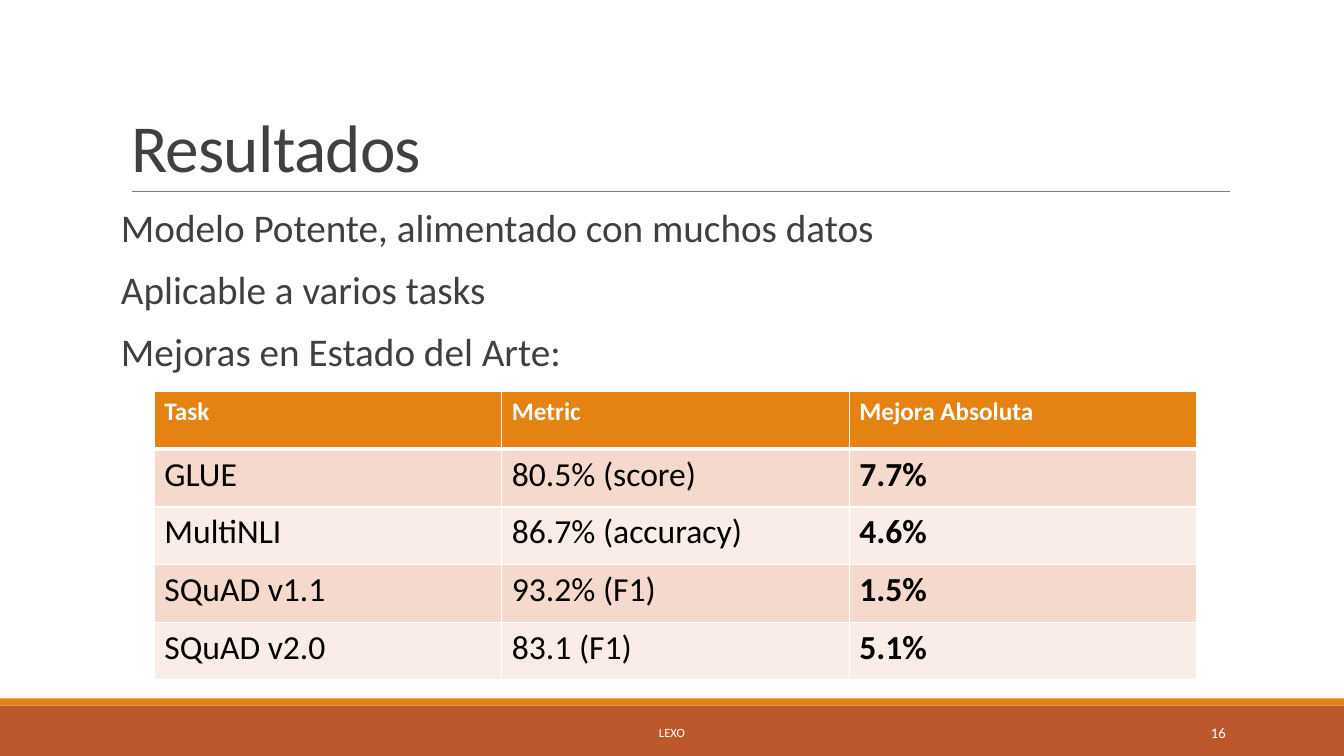
from lxml import etree
from pptx import Presentation
from pptx.dml.color import RGBColor
from pptx.enum.shapes import MSO_CONNECTOR, MSO_SHAPE
from pptx.enum.text import MSO_ANCHOR, MSO_AUTO_SIZE, PP_ALIGN
from pptx.oxml.ns import qn
from pptx.util import Cm, Pt

LEFT, CENTER, RIGHT = PP_ALIGN.LEFT, PP_ALIGN.CENTER, PP_ALIGN.RIGHT
TOP, MIDDLE, BOTTOM = MSO_ANCHOR.TOP, MSO_ANCHOR.MIDDLE, MSO_ANCHOR.BOTTOM
NO_AUTOFIT = MSO_AUTO_SIZE.NONE
RECT, STRAIGHT = MSO_SHAPE.RECTANGLE, MSO_CONNECTOR.STRAIGHT
TITLE_ONLY = 5

COLORS = {
    "text": "404040", "black": "000000", "white": "FFFFFF", "rule": "808080",
    "orange": "E48312", "rust": "BD582C", "band": "F5D9CC", "light": "FAEDE7",
}
POINTS = [
    "Modelo Potente, alimentado con muchos datos",
    "Aplicable a varios tasks",
    "Mejoras en Estado del Arte:",
]
RESULTS = [
    ["Task", "Metric", "Mejora Absoluta"],
    ["GLUE", "80.5% (score)", "7.7%"],
    ["MultiNLI", "86.7% (accuracy)", "4.6%"],
    ["SQuAD v1.1", "93.2% (F1)", "1.5%"],
    ["SQuAD v2.0", "83.1 (F1)", "5.1%"],
]


def rgb(name):
    return RGBColor.from_string(COLORS[name])


def write(tf, lines, size, color="text", bold=False, align=LEFT, anchor=TOP,
          line=1.0, before=0, after=0, spacing=0):
    """Fill a text frame, one paragraph per line; spacing is in 1/100 pt."""
    tf.word_wrap = True
    tf.vertical_anchor = anchor
    for i, text in enumerate(lines):
        p = tf.add_paragraph() if i else tf.paragraphs[0]
        p.alignment, p.line_spacing = align, line
        p.space_before, p.space_after = Pt(before), Pt(after)
        r = p.add_run()
        r.text = text
        r.font.name, r.font.size, r.font.bold = "Calibri", Pt(size), bold
        r.font.color.rgb = rgb(color)
        if spacing:
            r.font._element.set("spc", str(spacing))


class Deck:
    """Holds the presentation, its current slide and the house style."""

    def __init__(self):
        self.prs = Presentation()
        self.prs.slide_width, self.prs.slide_height = Cm(33.87), Cm(19.05)
        self.s = self.prs.slides.add_slide(self.prs.slide_layouts[TITLE_ONLY])

    def bar(self, y, h, color):
        sp = self.s.shapes.add_shape(RECT, 0, Cm(y), self.prs.slide_width, Cm(h))
        sp.shadow.inherit = False
        sp.fill.solid()
        sp.fill.fore_color.rgb = rgb(color)
        sp.line.fill.background()

    def rule(self, x1, x2, y):
        sp = self.s.shapes.add_connector(STRAIGHT, Cm(x1), Cm(y), Cm(x2), Cm(y))
        sp.line.color.rgb, sp.line.width = rgb("rule"), Pt(0.5)
        etree.SubElement(sp._element.spPr, qn("a:effectLst"))

    def title(self, text, x, y, w, h):
        sp = self.s.shapes.title
        sp.left, sp.top, sp.width, sp.height = Cm(x), Cm(y), Cm(w), Cm(h)
        sp.text_frame.auto_size = NO_AUTOFIT
        write(sp.text_frame, [text], 48, anchor=BOTTOM, line=0.85, spacing=-50)

    def text(self, lines, x, y, w, h, size, inset=0.25, **fmt):
        sp = self.s.shapes.add_textbox(Cm(x), Cm(y), Cm(w), Cm(h))
        tf = sp.text_frame
        tf.margin_left = tf.margin_right = Cm(inset)
        write(tf, lines, size, **fmt)

    def table(self, rows, x, y, w, h):
        shape = self.s.shapes.add_table(len(rows), len(rows[0]), Cm(x), Cm(y), Cm(w), Cm(h))
        for i, row in enumerate(rows):
            header = i == 0
            fill = "orange" if header else "band" if i % 2 else "light"
            for j, text in enumerate(row):
                cell = shape.table.cell(i, j)
                cell.fill.solid()
                cell.fill.fore_color.rgb = rgb(fill)
                write(cell.text_frame, [text], 18 if header else 24,
                      color="white" if header else "black",
                      bold=header or j == len(row) - 1)
                self.borders(cell, top=3 if i == 1 else 1, bottom=3 if header else 1)

    def borders(self, cell, top, bottom):
        tcPr = cell._tc.get_or_add_tcPr()
        widths = {"a:lnL": 1, "a:lnR": 1, "a:lnT": top, "a:lnB": bottom}
        for i, (tag, width) in enumerate(widths.items()):
            ln = etree.Element(qn(tag), w=str(Pt(width)))
            fill = etree.SubElement(ln, qn("a:solidFill"))
            etree.SubElement(fill, qn("a:srgbClr"), val=COLORS["white"])
            tcPr.insert(i, ln)


def main():
    deck = Deck()
    deck.bar(17.78, 1.27, "rust")
    deck.bar(17.6, 0.18, "orange")
    deck.rule(3.33, 31, 4.82)
    deck.title("Resultados", 3.05, 0.79, 27.94, 4.04)
    deck.text(POINTS, 3.05, 5.13, 27.94, 11.18, 28, inset=0,
              line=0.9, before=12, after=2)
    deck.text(["LEXO"], 10.24, 17.95, 13.39, 1.02, 9,
              color="white", align=CENTER, anchor=MIDDLE)
    deck.text(["16"], 27.51, 17.95, 3.63, 1.02, 10.5,
              color="white", align=RIGHT, anchor=MIDDLE)
    deck.table(RESULTS, 3.89, 9.87, 26.27, 7.26)
    deck.prs.save("out.pptx")


if __name__ == "__main__":
    main()
